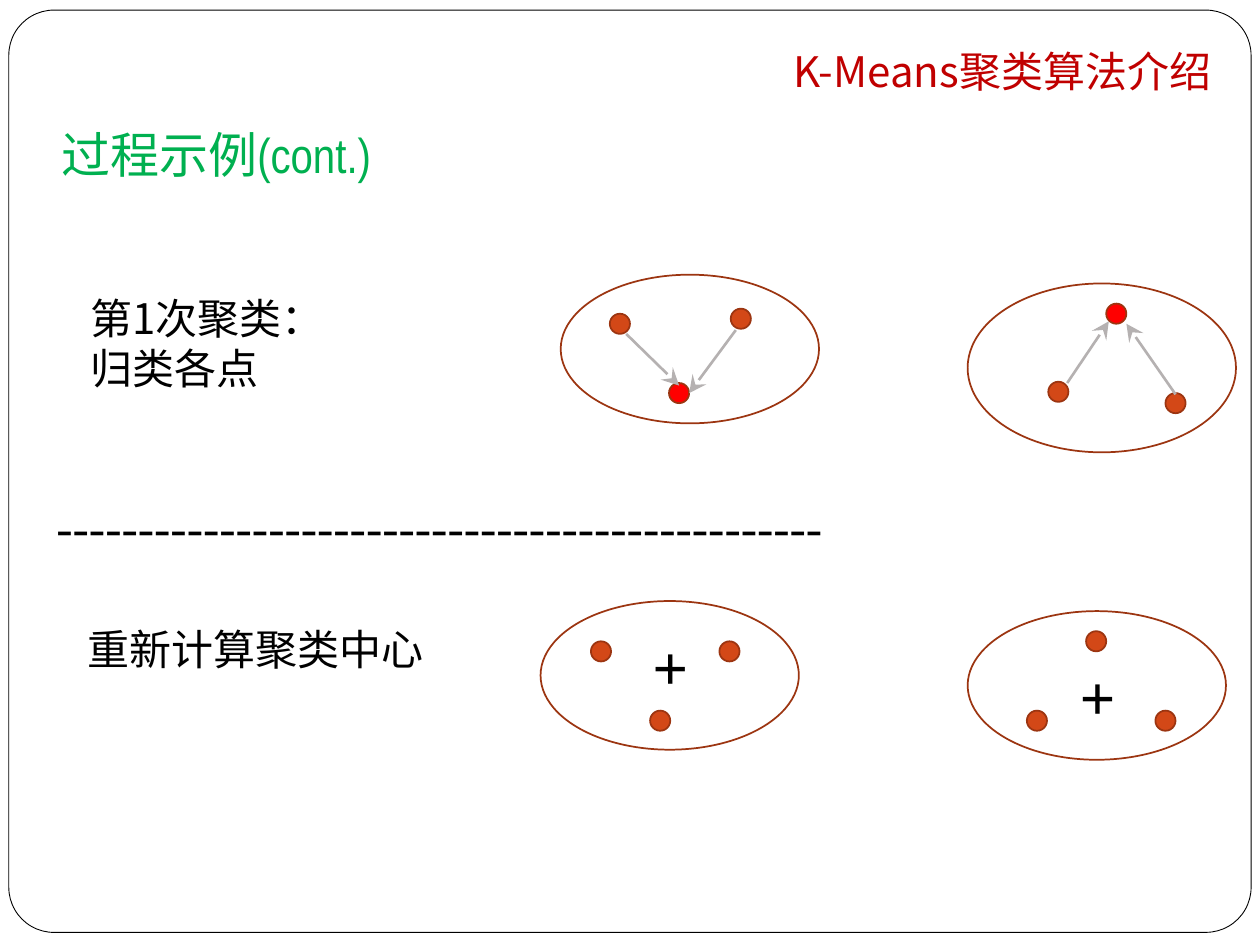
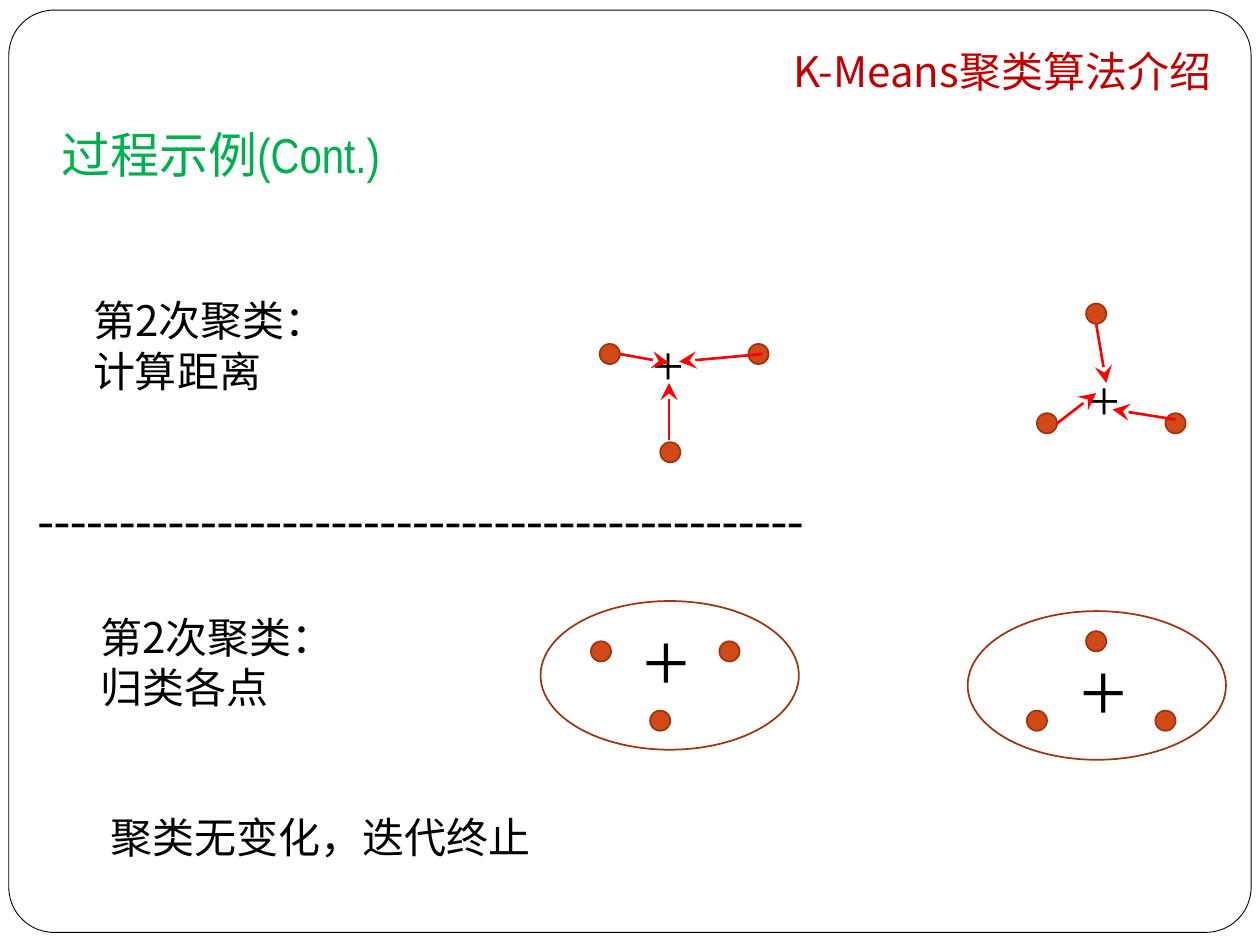
from dataclasses import dataclass

from lxml.etree import SubElement
from pptx import Presentation
from pptx.dml.color import RGBColor
from pptx.enum.shapes import MSO_CONNECTOR, MSO_SHAPE
from pptx.enum.text import MSO_ANCHOR, MSO_AUTO_SIZE, PP_ALIGN
from pptx.oxml.ns import qn
from pptx.util import Inches, Pt


@dataclass(frozen=True)
class Theme:
    paper: str = "FFFFFF"
    ink: str = "000000"
    title: str = "C00000"
    heading: str = "00B050"
    point: str = "D34817"
    outline: str = "9C3511"
    center: str = "FF0000"
    assign_arrow: str = "B5B1B1"
    distance_arrow: str = "FF0000"
    cjk_font: str = "Noto Sans CJK SC"
    heading_font: str = "Arial Narrow"
    symbol_font: str = "Times New Roman"
    body_size: int = 24
    heading_size: int = 28
    dot: float = 0.16


DIVIDER = "-" * 47

# Points and outlines (left, top, width, height) of the two final clusters.
FINAL_POINTS = [(4.69, 5.09), (5.71, 5.09), (5.16, 5.64),
                (8.15, 5.64), (9.17, 5.64), (8.62, 5.01)]
FINAL_CLUSTERS = [(4.29, 4.77, 2.05, 1.18), (7.68, 4.85, 2.05, 1.18)]


class ClusterDeck:
    def __init__(self, theme):
        self.theme = theme
        self.deck = Presentation()
        self.deck.slide_width, self.deck.slide_height = Inches(10), Inches(7.5)
        self.page = None

    def add_page(self, heading):
        """Start a slide with the frame, title and heading all slides share."""
        theme = self.theme
        self.page = self.deck.slides.add_slide(self.deck.slide_layouts[6])
        frame = self.shape(MSO_SHAPE.ROUNDED_RECTANGLE, (0.07, 0.08, 9.86, 7.32),
                           theme.paper, theme.ink, 0.5)
        frame.adjustments[0] = 0.049

        title = self.text(["K-Means聚类算法介绍"], (0.47, 0.39, 9.24, 0.47),
                          color=theme.title, hanging=True)
        title.auto_size = MSO_AUTO_SIZE.NONE
        title.vertical_anchor = MSO_ANCHOR.BOTTOM
        title.margin_bottom = Inches(0.1)
        para = title.paragraphs[0]
        para.alignment = PP_ALIGN.RIGHT
        para.line_spacing = 1.2
        para.space_after = Pt(6)

        self.text([heading], (0.39, 0.94, 7.19, 0.57), theme.heading_size,
                  theme.heading_font, theme.heading, hanging=True)

    def shape(self, kind, place, fill, line, width=1):
        shape = self.page.shapes.add_shape(kind, *map(Inches, place))
        shape.shadow.inherit = False
        if fill:
            shape.fill.solid()
            shape.fill.fore_color.rgb = RGBColor.from_string(fill)
        else:
            shape.fill.background()
        shape.line.color.rgb = RGBColor.from_string(line)
        shape.line.width = Pt(width)
        return shape

    def points(self, corners, color=None):
        theme = self.theme
        for left, top in corners:
            self.shape(MSO_SHAPE.OVAL, (left, top, theme.dot, theme.dot),
                       color or theme.point, theme.outline)

    def clusters(self, places):
        for place in places:
            self.shape(MSO_SHAPE.OVAL, place, None, self.theme.outline)

    def final_clusters(self):
        self.points(FINAL_POINTS)
        self.clusters(FINAL_CLUSTERS)

    def text(self, lines, place, size=None, font=None, color=None,
             bold=False, hanging=False):
        theme = self.theme
        frame = self.page.shapes.add_textbox(*map(Inches, place)).text_frame
        frame.word_wrap = True
        frame.auto_size = MSO_AUTO_SIZE.SHAPE_TO_FIT_TEXT
        frame.text = "\n".join(lines)
        for para in frame.paragraphs:
            para.font.size = Pt(size or theme.body_size)
            para.font.name = font or theme.cjk_font
            para.font.bold = bold
            para.font.color.rgb = RGBColor.from_string(color or theme.ink)
            if hanging:
                para.space_before = Pt(5.8)
                properties = para._p.get_or_add_pPr()
                properties.set("marL", str(Inches(0.3)))
                properties.set("indent", str(-Inches(0.3)))
            for span in para.runs:
                east_asian = SubElement(span._r.get_or_add_rPr(), qn("a:ea"))
                east_asian.set("typeface", theme.cjk_font)
        return frame

    def divider(self, left, top):
        self.text([DIVIDER], (left, top, 9.53, 0.57), self.theme.heading_size,
                  self.theme.symbol_font)

    def pluses(self, places, size, bold=False):
        """Mark cluster centres with plus signs."""
        for place in places:
            self.text(["+"], place, size, self.theme.symbol_font, bold=bold)

    def arrows(self, ends, color):
        for start, end in ends:
            arrow = self.page.shapes.add_connector(
                MSO_CONNECTOR.STRAIGHT, *map(Inches, start + end))
            arrow.line.color.rgb = RGBColor.from_string(color)
            arrow.line.width = Pt(1.5)
            SubElement(arrow.line._get_or_add_ln(), qn("a:tailEnd"),
                       type="stealth", w="lg", len="lg")
            SubElement(arrow._element.spPr, qn("a:effectLst"))


def add_first_round(deck):
    theme = deck.theme
    deck.add_page("过程示例(cont.)")
    deck.text(["第1次聚类：", "归类各点"], (0.62, 2.27, 2.73, 0.91))
    deck.points([(4.84, 2.49), (5.8, 2.45), (8.32, 3.03), (9.25, 3.12)])
    deck.points([(5.31, 3.04), (8.78, 2.41)], theme.center)
    deck.arrows([((4.97, 2.65), (5.39, 3.06)), ((5.84, 2.62), (5.47, 3.12)),
                 ((8.47, 3.04), (8.8, 2.55)), ((9.33, 3.13), (8.94, 2.57))],
                theme.assign_arrow)
    deck.clusters([(4.45, 2.18, 2.05, 1.18), (7.68, 2.25, 2.13, 1.34)])
    deck.divider(0.35, 3.89)
    deck.text(["重新计算聚类中心"], (0.6, 4.9, 3.23, 0.51))
    deck.final_clusters()
    deck.pluses([(5.08, 4.93, 0.45, 0.71), (8.47, 5.17, 0.45, 0.71)], 36, bold=True)


def add_second_round(deck):
    deck.add_page("过程示例(Cont.)")
    deck.text(["第2次聚类：", "计算距离"], (0.64, 2.29, 2.93, 0.91))
    deck.points([(4.76, 2.73), (5.94, 2.73), (5.24, 3.51),
                 (8.23, 3.28), (9.25, 3.28), (8.62, 2.41)])
    deck.pluses([(5.08, 2.57, 0.45, 0.64), (8.54, 2.84, 0.45, 0.64)], 32)
    deck.arrows([((4.92, 2.81), (5.31, 2.88)), ((6.05, 2.81), (5.39, 2.87)),
                 ((5.31, 3.49), (5.31, 3.04)), ((8.39, 3.36), (8.7, 3.12)),
                 ((8.7, 2.57), (8.78, 3.04)), ((9.33, 3.33), (8.83, 3.25))],
                deck.theme.distance_arrow)
    deck.divider(0.2, 3.83)
    deck.text(["第2次聚类：", "归类各点"], (0.7, 4.8, 3.47, 0.91))
    deck.final_clusters()
    deck.pluses([(5, 4.77, 0.63, 0.91), (8.47, 5.01, 0.63, 0.91)], 48)
    deck.text(["聚类无变化，迭代终止"], (0.78, 6.39, 4.88, 0.51))


def main():
    deck = ClusterDeck(Theme())
    add_first_round(deck)
    add_second_round(deck)
    deck.deck.save("out.pptx")


if __name__ == "__main__":
    main()
